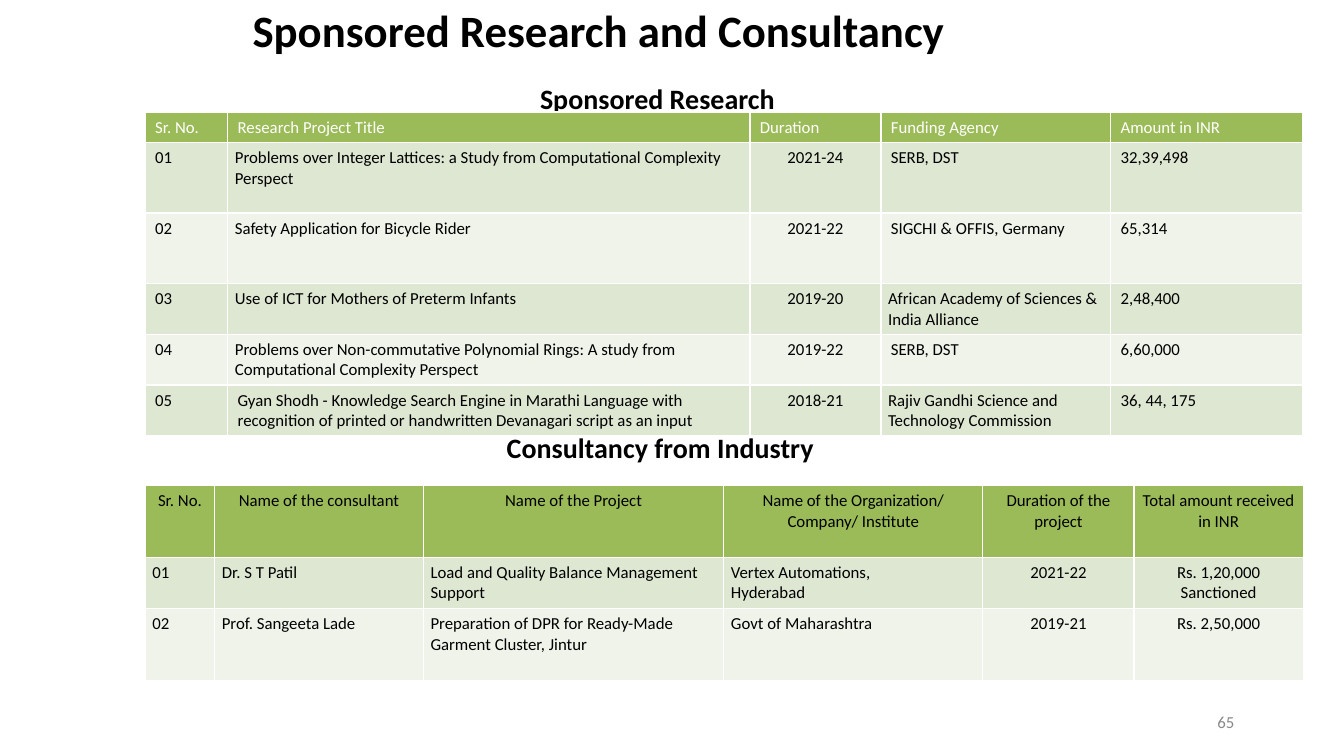
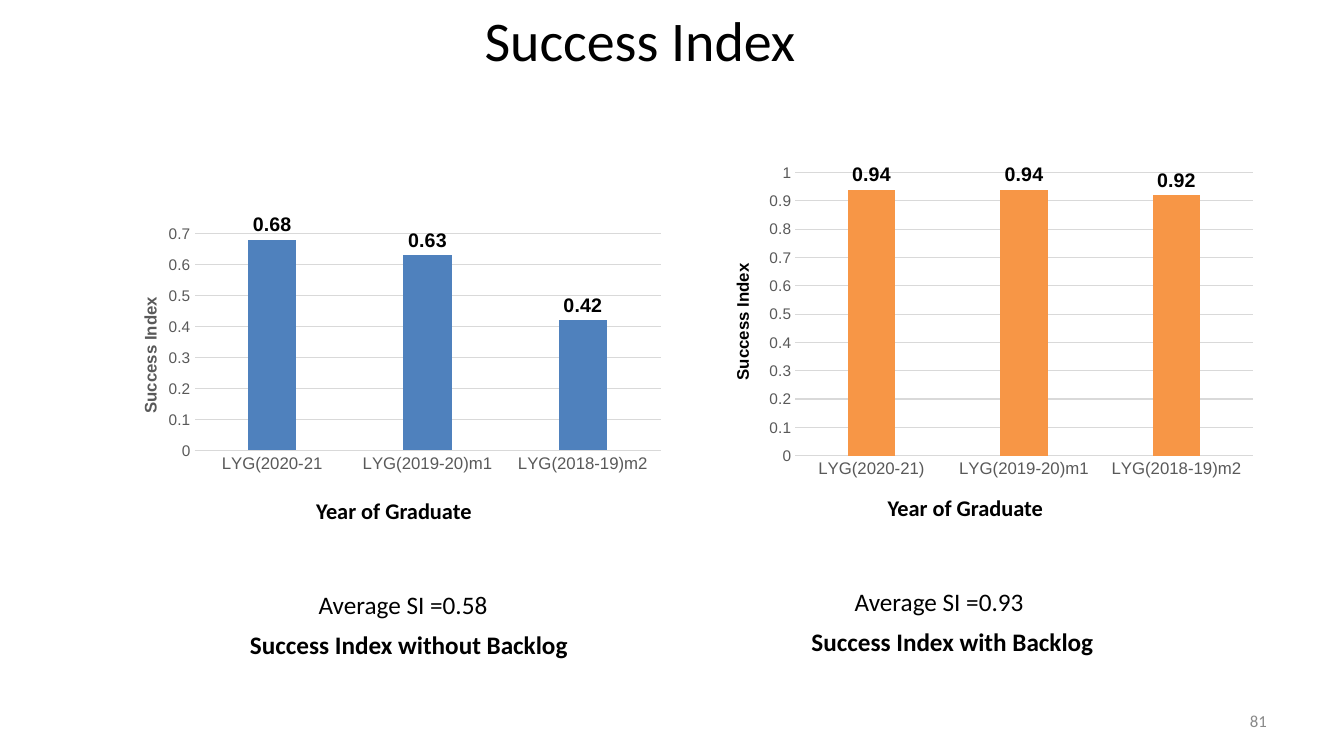
from lxml.etree import SubElement
from pptx import Presentation
from pptx.chart.data import CategoryChartData
from pptx.dml.color import RGBColor
from pptx.enum.chart import XL_CHART_TYPE as ChartType, XL_LABEL_POSITION as LabelPosition, XL_TICK_MARK as TickMark
from pptx.enum.text import MSO_ANCHOR as Anchor, MSO_AUTO_SIZE as AutoSize, PP_ALIGN as Align
from pptx.oxml.ns import qn
from pptx.util import Cm, Pt

BLACK = RGBColor(0x00, 0x00, 0x00)
WHITE = RGBColor(0xFF, 0xFF, 0xFF)
NUMBER_GRAY = RGBColor(0x89, 0x89, 0x89)
AXIS_GRAY = RGBColor(0x59, 0x59, 0x59)
GRID_GRAY = RGBColor(0xD9, 0xD9, 0xD9)
HEADER_GREEN = RGBColor(0x9B, 0xBB, 0x59)
BAND_GREENS = (RGBColor(0xDE, 0xE7, 0xD1), RGBColor(0xEF, 0xF3, 0xEA))
BLUE = RGBColor(0x4F, 0x81, 0xBD)
ORANGE = RGBColor(0xF7, 0x96, 0x46)

BODY_FONT = "Calibri"
CHART_FONT = "Arial"
TABLE_LEFT = 3.66
NARROW_MARGIN = 0.18

RESEARCH_ROWS = [
    ["Sr. No.", "Research Project Title", "Duration", "Funding Agency", "Amount in INR"],
    ["01", "Problems over Integer Lattices: a Study from Computational Complexity Perspect",
     "2021-24", "SERB, DST", "32,39,498"],
    ["02", "Safety Application for Bicycle Rider", "2021-22", "SIGCHI & OFFIS, Germany", "65,314"],
    ["03", "Use of ICT for Mothers of Preterm Infants", "2019-20",
     "African Academy of Sciences & India Alliance", "2,48,400"],
    ["04", "Problems over Non-commutative Polynomial Rings: A study from Computational Complexity Perspect",
     "2019-22", "SERB, DST", "6,60,000"],
    ["05", "Gyan Shodh - Knowledge Search Engine in Marathi Language with recognition of printed "
     "or handwritten Devanagari script as an input",
     "2018-21", "Rajiv Gandhi Science and Technology Commission", "36, 44, 175"],
]
RESEARCH_NARROW = {(1, 1), (2, 1), (3, 1), (4, 1), (3, 3), (5, 3)}
CONSULTANCY_ROWS = [
    ["Sr. No.", "Name of the consultant", "Name of the Project",
     "Name of the Organization/ Company/ Institute", "Duration of the project",
     "Total amount received in INR"],
    ["01", "Dr. S T Patil", "Load and Quality Balance Management Support",
     "Vertex Automations,\nHyderabad", "2021-22", "Rs. 1,20,000\nSanctioned"],
    ["02", "Prof. Sangeeta Lade", "Preparation of DPR for Ready-Made Garment Cluster, Jintur",
     "Govt of Maharashtra", "2019-21", "Rs. 2,50,000"],
]
CONSULTANCY_NARROW = {(row, column) for row in range(3) for column in range(6)}


def style_font(font, size, color=BLACK, bold=False, name=BODY_FONT):
    for attribute, value in {"name": name, "size": Pt(size), "bold": bold}.items():
        setattr(font, attribute, value)
    font.color.rgb = color


def place(shape, box):
    for attribute, value in zip(("left", "top", "width", "height"), box):
        setattr(shape, attribute, Cm(value))


def set_margins(target, left, top, right, bottom):
    margins = {"left": left, "top": top, "right": right, "bottom": bottom}
    for side, value in margins.items():
        setattr(target, f"margin_{side}", Cm(value))


def add_titled_slide(presentation, text, box, size, bold):
    slide = presentation.slides.add_slide(presentation.slide_layouts[5])
    title = slide.shapes.title
    place(title, box)
    frame = title.text_frame
    frame.text = text
    frame.auto_size = AutoSize.NONE
    frame.vertical_anchor = Anchor.MIDDLE
    paragraph = frame.paragraphs[0]
    paragraph.alignment = Align.CENTER
    style_font(paragraph.font, size, bold=bold)
    return slide


def add_text(slide, box, text, size, color=BLACK, bold=False, align=Align.LEFT, anchor=Anchor.TOP):
    frame = slide.shapes.add_textbox(*map(Cm, box)).text_frame
    frame.word_wrap = True
    frame.vertical_anchor = anchor
    paragraph = frame.paragraphs[0]
    paragraph.text = text
    paragraph.alignment = align
    style_font(paragraph.font, size, color, bold)
    return frame


def add_slide_number(slide, box, text, align):
    add_text(slide, box, text, 12, NUMBER_GRAY, align=align, anchor=Anchor.MIDDLE)


def add_summary(slide, box, average, indent, caption):
    frame = add_text(slide, box, average, 18)
    set_margins(frame, 0, 0.28, 0, 0)
    frame.paragraphs[0]._p.get_or_add_pPr().set("marL", str(Cm(indent)))
    paragraph = frame.add_paragraph()
    paragraph.text = caption
    paragraph.space_before = Pt(7)
    style_font(paragraph.font, 18, bold=True)


def add_grid(slide, top, widths, heights, rows, header_color, header_align, centered, narrow):
    table = slide.shapes.add_table(len(rows), len(widths), Cm(TABLE_LEFT), Cm(top),
                                   Cm(sum(widths)), Cm(sum(heights))).table
    for column, width in zip(table.columns, widths):
        column.width = Cm(width)
    for row_index, (row, height, texts) in enumerate(zip(table.rows, heights, rows)):
        row.height = Cm(height)
        is_header = row_index == 0
        for column_index, (cell, text) in enumerate(zip(row.cells, texts)):
            cell.fill.solid()
            cell.fill.fore_color.rgb = HEADER_GREEN if is_header else BAND_GREENS[(row_index - 1) % 2]
            side = NARROW_MARGIN if (row_index, column_index) in narrow else 0.25
            set_margins(cell, side, 0.13, side, 0.13)
            cell.text = text
            body_align = Align.CENTER if column_index in centered else Align.LEFT
            for paragraph in cell.text_frame.paragraphs:
                paragraph.alignment = header_align if is_header else body_align
                style_font(paragraph.font, 12, header_color if is_header else BLACK)


def set_layout(parent, position, **fractions):
    for old_layout in parent.findall(qn("c:layout")):
        parent.remove(old_layout)
    layout = SubElement(parent, qn("c:layout"))
    manual = SubElement(layout, qn("c:manualLayout"))
    if "w" in fractions:
        SubElement(manual, qn("c:layoutTarget"), val="inner")
    for axis in "xy":
        SubElement(manual, qn(f"c:{axis}Mode"), val="edge")
    for name, value in fractions.items():
        SubElement(manual, qn(f"c:{name}"), val=str(value))
    parent.insert(position, layout)


def add_index_chart(slide, box, categories, values, maximum, color, title_color, plot, title_at):
    data = CategoryChartData()
    data.categories = categories
    data.add_series("Series 1", values)
    chart = slide.shapes.add_chart(ChartType.COLUMN_CLUSTERED, *map(Cm, box), data).chart
    chart.has_legend = False
    chart.has_title = False
    style_font(chart.font, 10, name=CHART_FONT)

    bars = chart.plots[0]
    for attribute, value in {"gap_width": 219, "overlap": -27, "vary_by_categories": False,
                             "has_data_labels": True}.items():
        setattr(bars, attribute, value)
    labels = bars.data_labels
    labels.show_value = True
    labels.position = LabelPosition.OUTSIDE_END
    style_font(labels.font, 14, bold=True, name=CHART_FONT)
    fill = bars.series[0].format.fill
    fill.solid()
    fill.fore_color.rgb = color

    for axis, size in ((chart.category_axis, 12), (chart.value_axis, 11)):
        axis.major_tick_mark = TickMark.NONE
        axis.minor_tick_mark = TickMark.NONE
        style_font(axis.tick_labels.font, size, AXIS_GRAY, name=CHART_FONT)
    value_axis = chart.value_axis
    for attribute, value in {"minimum_scale": 0, "maximum_scale": maximum, "major_unit": 0.1,
                             "has_major_gridlines": True}.items():
        setattr(value_axis, attribute, value)
    value_axis.format.line.fill.background()
    for line in (chart.category_axis.format.line, value_axis.major_gridlines.format.line):
        line.color.rgb = GRID_GRAY
        line.width = Pt(0.75)

    title = value_axis.axis_title
    paragraph = title.text_frame.paragraphs[0]
    paragraph.text = "Success Index"
    style_font(paragraph.runs[0].font, 12, title_color, True, CHART_FONT)
    set_layout(title._element, 1, **title_at)
    set_layout(chart._chartSpace.chart.plotArea, 0, **plot)


def build_research_slide(presentation):
    slide = add_titled_slide(presentation, "Sponsored Research and Consultancy",
                             (0, -0.28, 30.18, 2.06), 32, True)
    add_text(slide, (6.83, 1.93, 19.48, 1.12), "Sponsored Research", 20, bold=True, align=Align.CENTER)
    add_text(slide, (12.52, 10.72, 11.86, 1.12), "Consultancy from Industry", 20, bold=True)
    add_slide_number(slide, (29.41, 17.65, 2.97, 1.07), "65", Align.CENTER)
    add_grid(slide, 2.82, (2.08, 13.16, 3.3, 5.79, 4.85), (0.76, 1.78, 1.78, 1.27, 1.27, 1.27),
             RESEARCH_ROWS, WHITE, Align.LEFT, {2}, RESEARCH_NARROW)
    add_grid(slide, 12.24, (1.75, 5.26, 7.57, 6.53, 3.81, 4.26), (1.8, 1.3, 1.8),
             CONSULTANCY_ROWS, BLACK, Align.CENTER, {4, 5}, CONSULTANCY_NARROW)


def build_success_slide(presentation):
    slide = add_titled_slide(presentation, "Success Index", (1.7, 0.12, 28.85, 1.75), 40, False)
    add_slide_number(slide, (24.28, 17.65, 7.9, 1.02), "81", Align.RIGHT)
    for left, top in ((7.72, 12.4), (22.12, 12.32)):
        add_text(slide, (left, top, 5.5, 0.94), "Year of Graduate", 16, bold=True)
    add_summary(slide, (6.3, 14.57, 8.4, 2.08), "Average SI =0.58", 1.73, "Success Index without Backlog")
    add_summary(slide, (20.45, 14.5, 7.5, 2.08), "Average SI =0.93", 1.09, "Success Index with Backlog")
    earlier_years = ["LYG(2019-20)m1", "LYG(2018-19)m2"]
    add_index_chart(slide, (3.45, 4.37, 13.21, 7.59), ["LYG(2020-21", *earlier_years],
                    (0.68, 0.63, 0.42), 0.7, BLUE, AXIS_GRAY,
                    {"x": 0.11, "y": 0.2, "w": 0.89, "h": 0.72}, {"x": 0, "y": 0.4})
    add_index_chart(slide, (17.96, 3.94, 13.89, 8.2), ["LYG(2020-21)", *earlier_years],
                    (0.94, 0.94, 0.92), 1, ORANGE, BLACK,
                    {"x": 0.15, "y": 0.05, "w": 0.83, "h": 0.87}, {"x": 0.03, "y": 0.32})


def main():
    presentation = Presentation()
    presentation.slide_width = Cm(33.87)
    presentation.slide_height = Cm(19.05)
    build_research_slide(presentation)
    build_success_slide(presentation)
    presentation.save("out.pptx")


if __name__ == "__main__":
    main()
